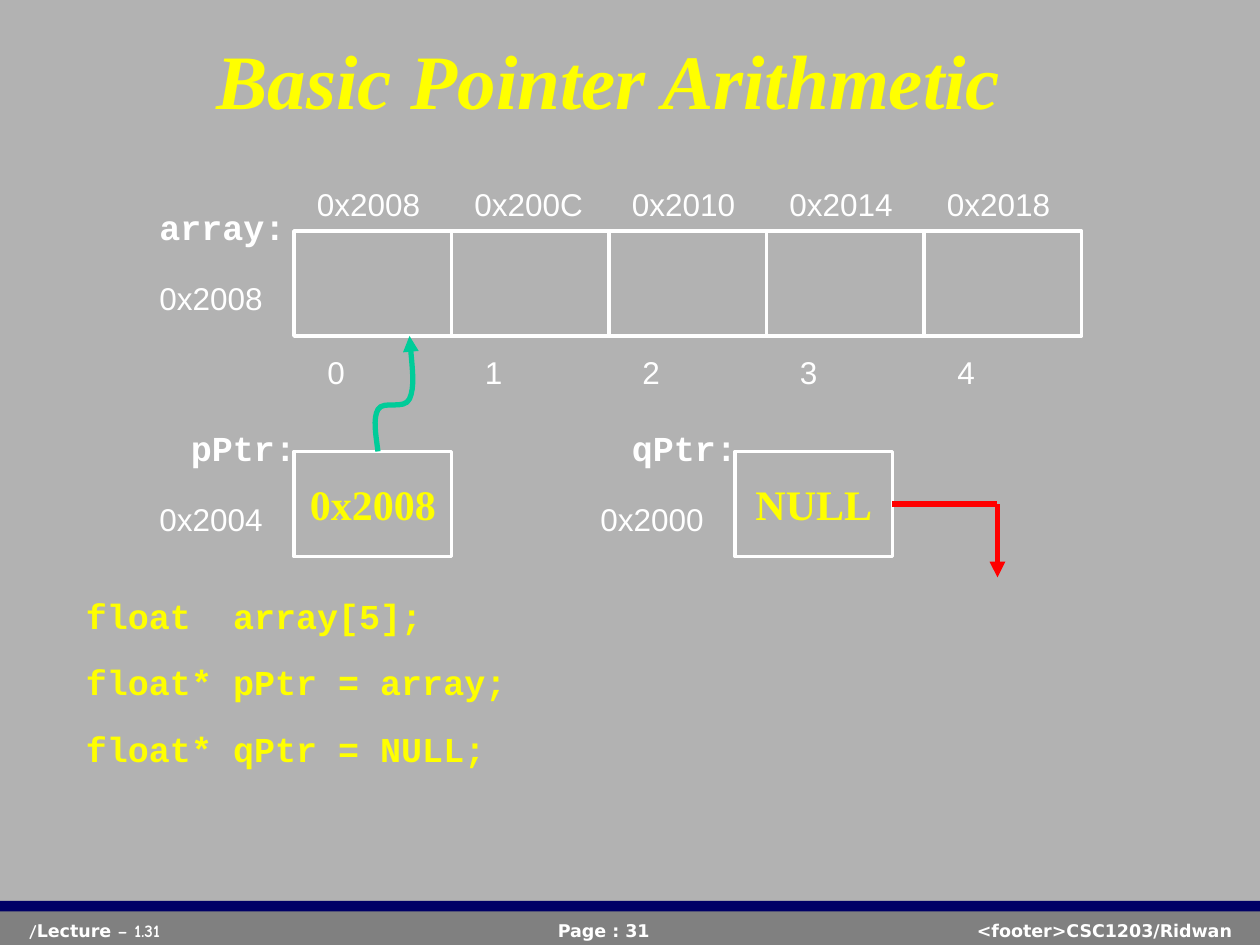
from lxml import etree
from pptx import Presentation
from pptx.dml.color import RGBColor
from pptx.enum.shapes import MSO_CONNECTOR, MSO_SHAPE
from pptx.enum.text import MSO_ANCHOR, PP_ALIGN
from pptx.oxml.ns import qn
from pptx.util import Pt

PX = 7620  # EMU in one px, 120 px to the inch
RECT = MSO_SHAPE.RECTANGLE
LINE = MSO_CONNECTOR.STRAIGHT
TOP, MID = MSO_ANCHOR.TOP, MSO_ANCHOR.MIDDLE
LEFT, CENTER, RIGHT = PP_ALIGN.LEFT, PP_ALIGN.CENTER, PP_ALIGN.RIGHT

WHITE, YELLOW, GREEN, RED = "FFFFFF", "FFFF00", "00CC99", "FF0000"
GREY, DARK, NAVY = "B2B2B2", "808080", "000066"
SANS, SERIF, MONO = "Arial", "Times New Roman", "Courier New"
FOOT, COMIC = "DejaVu Sans", "Comic Neue"
CELL_W, CELL_H = 150, 100


def px(*nums):
    return [n * PX for n in nums]


def rgb(code):
    return RGBColor.from_string(code)


def style(font, size, name, color, bold=False, italic=False):
    font.size, font.name = Pt(size), name
    font.bold, font.italic = bold, italic
    font.color.rgb = rgb(color)


def text(slide, place, words, size, name, color, bold=False, italic=False,
         align=LEFT, anchor=TOP, gap=0):
    """Add a text box with one paragraph for each line of words."""
    frame = slide.shapes.add_textbox(*px(*place)).text_frame
    frame.word_wrap, frame.vertical_anchor = True, anchor
    frame.text = words
    for i, para in enumerate(frame.paragraphs):
        para.alignment = align
        if i and gap:
            para.space_before = Pt(gap)
        for run in para.runs:
            style(run.font, size, name, color, bold, italic)
    return frame


def label(slide, x, y, words, width=130):
    text(slide, (x, y, width, 48), words, 18, SANS, WHITE)


def name_tag(slide, x, y, words, width=130):
    text(slide, (x, y, width, 53), words, 20, MONO, WHITE, bold=True)


def bar(slide, place, color):
    shape = slide.shapes.add_shape(RECT, *px(*place))
    shape.shadow.inherit = False
    shape.fill.solid()
    shape.fill.fore_color.rgb = rgb(color)
    shape.line.fill.background()


def cell(slide, x, y, words=""):
    """Add one outlined memory cell, with its value if it has one."""
    shape = slide.shapes.add_shape(RECT, *px(x, y, CELL_W, CELL_H))
    shape.shadow.inherit = False
    shape.fill.background()
    shape.line.color.rgb, shape.line.width = rgb(WHITE), Pt(2)
    if words:
        frame = shape.text_frame
        frame.word_wrap, frame.vertical_anchor = False, MID
        frame.text = words
        para = frame.paragraphs[0]
        para.alignment = CENTER
        style(para.runs[0].font, 24, SERIF, YELLOW, bold=True)
    return shape


def stroke(shape, color, head=False):
    shape.line.color.rgb, shape.line.width = rgb(color), Pt(3)
    if head:
        ln = shape.line._get_or_add_ln()
        etree.SubElement(ln, qn("a:tailEnd"), type="triangle")


def link(slide, start, end, color, head=False):
    line = slide.shapes.add_connector(LINE, *px(*start, *end))
    stroke(line, color, head)
    etree.SubElement(line._element.spPr, qn("a:effectLst"))
    return line


def curve(slide, points, color):
    """Draw cubic curves: a start, then three points for each piece."""
    build = slide.shapes.build_freeform(*points[0], scale=PX)
    build.add_line_segments(points[1:], close=False)
    shape = build.convert_to_shape()
    shape.shadow.inherit = False
    shape.fill.background()
    stroke(shape, color, head=True)
    # Turn every three straight pieces into one cubic piece
    steps = list(shape._element.iter(qn("a:lnTo")))
    for i in range(0, len(steps), 3):
        piece = etree.SubElement(steps[i].getparent(), qn("a:cubicBezTo"))
        for step in steps[i:i + 3]:
            piece.append(step[0])
            step.getparent().remove(step)


def footer(slide):
    bar(slide, (0, 865, 1200, 35), DARK)
    bar(slide, (0, 858, 1200, 10), NAVY)
    frame = text(slide, (16, 870, 295, 30), "/", 10, COMIC, WHITE, bold=True)
    for words, name in (("Lecture", FOOT), (" – 1.31", COMIC)):
        run = frame.paragraphs[0].add_run()
        run.text = words
        style(run.font, 10, name, WHITE, bold=True)
    for place, words, align in (
            ((575, 870, 610, 30), "<footer>CSC1203/Ridwan", RIGHT),
            ((450, 870, 250, 30), "Page : 31", CENTER)):
        text(slide, place, words, 10, FOOT, WHITE, bold=True, align=align)


def array(slide):
    """Draw the five cells with addresses above and indexes below."""
    name_tag(slide, 140, 190, "array:", 160)
    label(slide, 140, 260, "0x2008")
    spots = ("0x2008", "0x200C", "0x2010", "0x2014", "0x2018")
    for i, spot in enumerate(spots):
        x = 280 + i * CELL_W
        cell(slide, x, 220)
        label(slide, x + 10, 170, spot)
        label(slide, x + 20, 330, str(i), 40)


def pointer(slide, x, name, spot, value, shift):
    """Draw a pointer's cell with its name and address on the left."""
    name_tag(slide, x - shift, 400, name)
    label(slide, x - 140, 470, spot)
    return cell(slide, x, 430, value)


def main():
    prs = Presentation()
    prs.slide_width, prs.slide_height = px(1200, 900)
    slide = prs.slides.add_slide(prs.slide_layouts[6])
    back = slide.background.fill
    back.solid()
    back.fore_color.rgb = rgb(GREY)

    footer(slide)
    text(slide, (70, 0, 1020, 150), "Basic Pointer Arithmetic", 44, SERIF,
         YELLOW, bold=True, italic=True, align=CENTER, anchor=MID)

    # Memory and pointers
    array(slide)
    pointer(slide, 280, "pPtr:", "0x2004", "0x2008", 110)
    null = pointer(slide, 700, "qPtr:", "0x2000", "NULL", 110)

    # Arrow from pPtr to the array
    curve(slide, [(360, 430), (358, 414), (355, 399), (360, 390),
                  (365, 381), (385, 391), (390, 380),
                  (395, 369), (392, 344), (390, 320)], GREEN)

    # Arrow from qPtr to nowhere
    link(slide, (850, 480), (950, 480), RED).begin_connect(null, 3)
    link(slide, (950, 480), (950, 550), RED, head=True)

    # Declarations
    code = "float  array[5];\nfloat* pPtr = array;\nfloat* qPtr = NULL;"
    text(slide, (70, 560, 570, 295), code, 20, MONO, YELLOW, bold=True,
         gap=14)

    prs.save("out.pptx")


if __name__ == "__main__":
    main()
